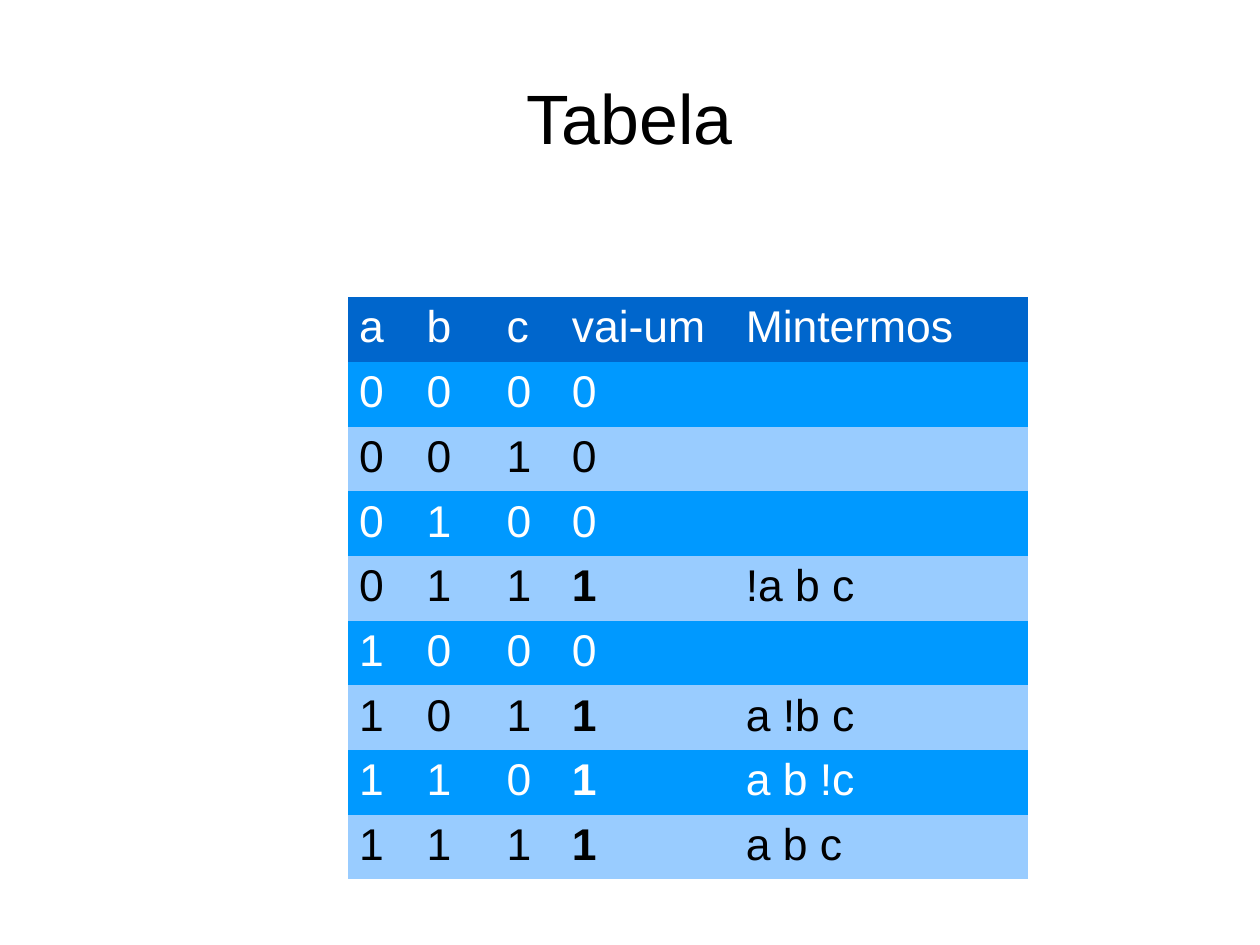
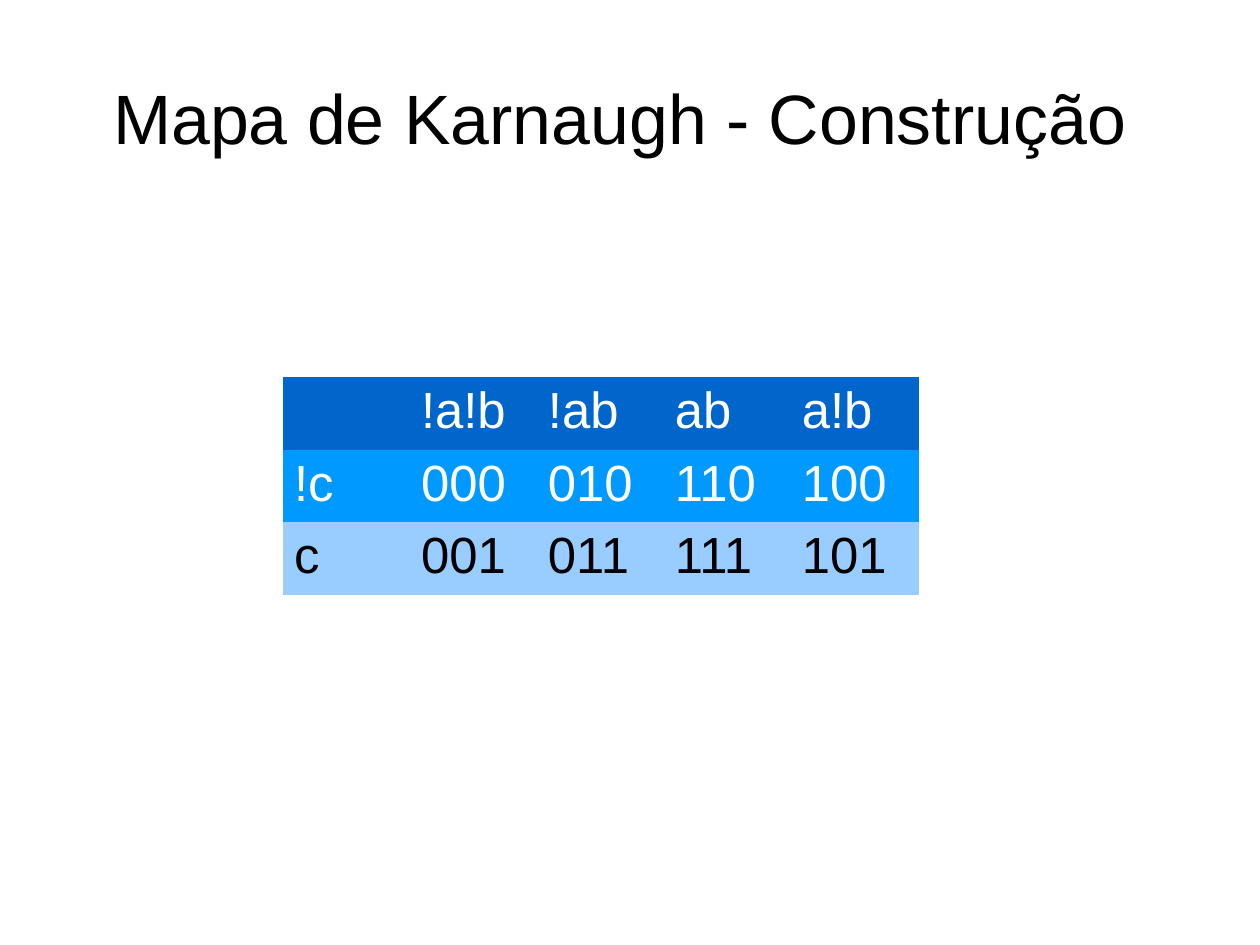
from dataclasses import dataclass

from pptx import Presentation
from pptx.dml.color import RGBColor
from pptx.enum.text import MSO_ANCHOR, MSO_AUTO_SIZE, PP_ALIGN
from pptx.util import Cm, Pt

CENTER = PP_ALIGN.CENTER
MIDDLE = MSO_ANCHOR.MIDDLE
NO_FIT = MSO_AUTO_SIZE.NONE
TITLE_ONLY = 5
PLAIN_TABLE = "{2D5ABB26-0587-4C30-8999-92F81FD0307C}"


@dataclass(frozen=True)
class Theme:
    font: str = "Arial"
    title_size: int = 44
    dark: RGBColor = RGBColor(0x00, 0x00, 0x00)
    light: RGBColor = RGBColor(0xFF, 0xFF, 0xFF)
    header: RGBColor = RGBColor(0x00, 0x66, 0xCC)
    odd_row: RGBColor = RGBColor(0x00, 0x99, 0xFF)
    even_row: RGBColor = RGBColor(0x99, 0xCC, 0xFF)


THEME = Theme()

# Boxes are left, top, width, height in percent of the slide
TITLE_BOX = (5, 4, 90, 16.7)
TRUTH_BOX = (27.6, 31.44, 54.03, 61.65)
MAP_BOX = (22.44, 39.9, 50.54, 23.03)

TRUTH_WIDTHS = (0.59, 0.7, 0.57, 1.52, 2.57)
TRUTH_ROWS = [
    ("a", "b", "c", "vai-um", "Mintermos"),
    ("0", "0", "0", "0", ""),
    ("0", "0", "1", "0", ""),
    ("0", "1", "0", "0", ""),
    ("0", "1", "1", "1", "!a b c"),
    ("1", "0", "0", "0", ""),
    ("1", "0", "1", "1", "a !b c"),
    ("1", "1", "0", "1", "a b !c"),
    ("1", "1", "1", "1", "a b c"),
]
CARRY_COLUMN = 3

MAP_WIDTHS = (1.11, 1.11, 1.11, 1.11, 1.13)
MAP_ROWS = [
    ("", "!a!b", "!ab", "ab", "a!b"),
    ("!c", "000", "010", "110", "100"),
    ("c", "001", "011", "111", "101"),
]


def place(prs, box):
    """Turn a box in percent into slide lengths."""
    sides = (prs.slide_width, prs.slide_height) * 2
    return [int(side * share / 100) for side, share in zip(sides, box)]


def style(p, size, color, bold=False):
    p.font.name = THEME.font
    p.font.size = Pt(size)
    p.font.color.rgb = color
    p.font.bold = bold


def add_titled_slide(prs, title):
    s = prs.slides.add_slide(prs.slide_layouts[TITLE_ONLY])
    sp = s.shapes.title
    sp.left, sp.top, sp.width, sp.height = place(prs, TITLE_BOX)
    tf = sp.text_frame
    tf.text = title
    tf.auto_size = NO_FIT
    tf.vertical_anchor = MIDDLE
    tf.margin_left = tf.margin_top = tf.margin_right = tf.margin_bottom = 0
    p = tf.paragraphs[0]
    p.alignment = CENTER
    style(p, THEME.title_size, THEME.dark)
    return s


def row_colors(row):
    """Return the fill and text colours of a table row."""
    if row == 0:
        return THEME.header, THEME.light
    if row % 2:
        return THEME.odd_row, THEME.light
    return THEME.even_row, THEME.dark


def add_banded_table(prs, s, box, widths, rows, size, bold_column=None):
    left, top, width, height = place(prs, box)
    frame = s.shapes.add_table(len(rows), len(widths), left, top, width, height)
    table = frame.table
    table.first_row = table.horz_banding = False
    table._tbl.tblPr[0].text = PLAIN_TABLE

    # Column widths share out the box
    for column, weight in zip(table.columns, widths):
        column.width = int(width * weight / sum(widths))

    for i, row in enumerate(rows):
        fill, color = row_colors(i)
        for j, text in enumerate(row):
            cell = table.cell(i, j)
            cell.fill.solid()
            cell.fill.fore_color.rgb = fill
            cell.text = text
            bold = j == bold_column and text == "1"
            style(cell.text_frame.paragraphs[0], size, color, bold)


def main():
    prs = Presentation()
    prs.slide_width, prs.slide_height = Cm(28), Cm(21)

    # Truth table of the carry
    s = add_titled_slide(prs, "Tabela")
    add_banded_table(prs, s, TRUTH_BOX, TRUTH_WIDTHS, TRUTH_ROWS, 28, CARRY_COLUMN)

    # Karnaugh map
    s = add_titled_slide(prs, "Mapa de Karnaugh - Construção ")
    add_banded_table(prs, s, MAP_BOX, MAP_WIDTHS, MAP_ROWS, 32)

    prs.save("out.pptx")


if __name__ == "__main__":
    main()
